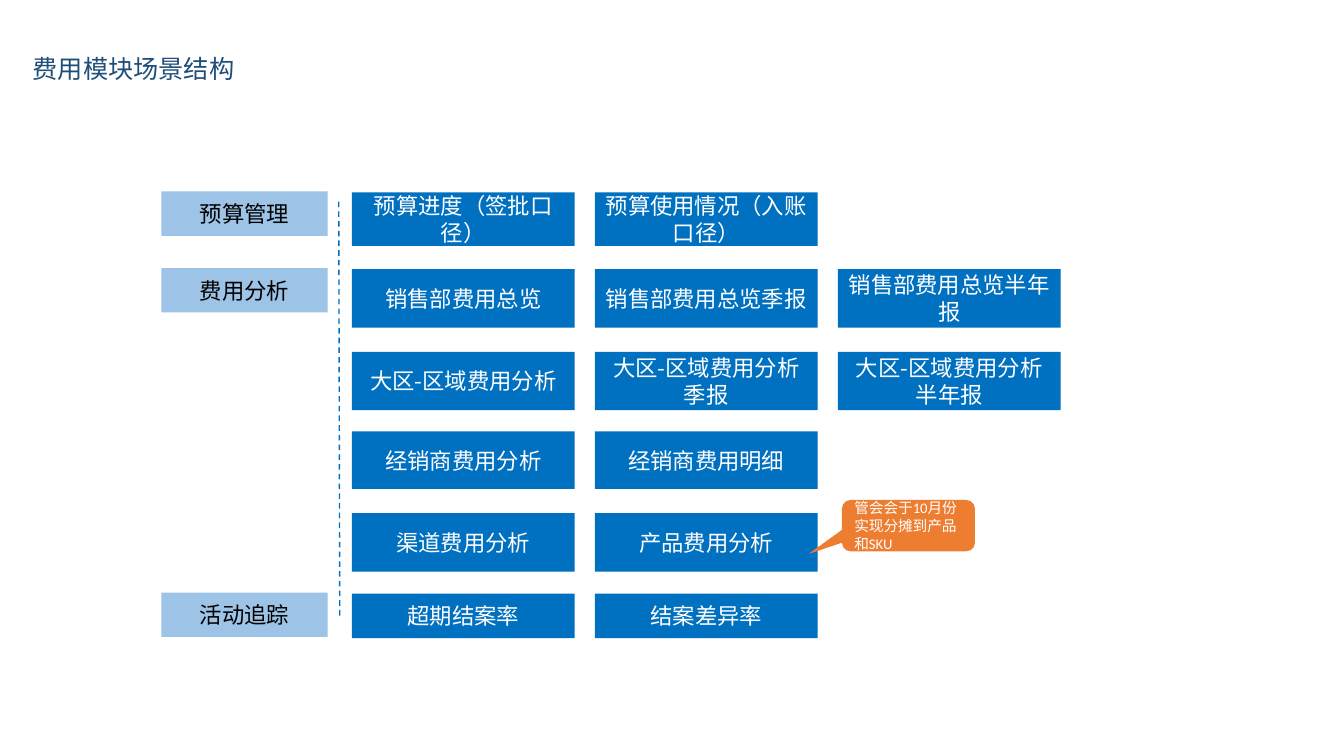
from lxml import etree
from pptx import Presentation
from pptx.dml.color import RGBColor
from pptx.enum.dml import MSO_LINE
from pptx.enum.shapes import MSO_CONNECTOR, MSO_SHAPE
from pptx.enum.text import MSO_ANCHOR, MSO_AUTO_SIZE, PP_ALIGN
from pptx.oxml.ns import qn
from pptx.util import Inches, Pt

RECT = MSO_SHAPE.RECTANGLE
CALLOUT = MSO_SHAPE.ROUNDED_RECTANGULAR_CALLOUT
LEFT, CENTER = PP_ALIGN.LEFT, PP_ALIGN.CENTER
NAVY = RGBColor(0x1F, 0x4E, 0x79)
BLUE = RGBColor(0x00, 0x70, 0xC0)
LIGHT_BLUE = RGBColor(0x9D, 0xC3, 0xE6)
ORANGE = RGBColor(0xED, 0x7D, 0x31)
WHITE = RGBColor(0xFF, 0xFF, 0xFF)
BLACK = RGBColor(0x00, 0x00, 0x00)
CJK_FONT = "Noto Sans CJK SC"

LABEL_LEFT, LABEL_WIDTH, LABEL_HEIGHT = 1.6, 1.65, 0.44
BOX_LEFT, BOX_WIDTH, BOX_PITCH = 3.49, 2.21, 2.41

# top, height, category label, scenes
ROWS = [
    (1.91, 0.53, "预算管理", ["预算进度（签批口径）", "预算使用情况（入账口径）"]),
    (2.67, 0.58, "费用分析", ["销售部费用总览", "销售部费用总览季报", "销售部费用总览半年报"]),
    (3.49, 0.58, None, ["大区-区域费用分析", "大区-区域费用分析季报", "大区-区域费用分析半年报"]),
    (4.28, 0.57, None, ["经销商费用分析", "经销商费用明细"]),
    (5.09, 0.58, None, ["渠道费用分析", "产品费用分析"]),
    (5.89, 0.44, "活动追踪", ["超期结案率", "结案差异率"]),
]


def write_text(shape, text, size, color, align=CENTER, font=CJK_FONT):
    tf = shape.text_frame
    tf.word_wrap = True
    tf.auto_size = MSO_AUTO_SIZE.NONE
    tf.vertical_anchor = MSO_ANCHOR.MIDDLE
    p = tf.paragraphs[0]
    p.alignment = align
    p.line_spacing = 1.0
    r = p.add_run()
    r.text = text
    for name, value in {"size": Pt(size), "name": font}.items():
        setattr(r.font, name, value)
    r.font.color.rgb = color
    ea = etree.SubElement(r.font._element, qn("a:ea"))
    ea.set("typeface", CJK_FONT)


def add_box(kind, left, top, width, height, fill):
    box = s.shapes.add_shape(kind, Inches(left), Inches(top), Inches(width), Inches(height))
    box.shadow.inherit = False
    box.fill.solid()
    box.fill.fore_color.rgb = fill
    box.line.fill.background()
    return box


prs = Presentation()
prs.slide_width, prs.slide_height = Inches(13.33), Inches(7.5)
s = prs.slides.add_slide(prs.slide_layouts[5])

title = s.shapes.title
frame = {"left": 0.12, "top": 0.47, "width": 2.41, "height": 0.42}
for name, value in frame.items():
    setattr(title, name, Inches(value))
write_text(title, "费用模块场景结构", 18, NAVY)

for top, height, label, scenes in ROWS:
    if label:
        box = add_box(RECT, LABEL_LEFT, top - 0.01, LABEL_WIDTH, LABEL_HEIGHT, LIGHT_BLUE)
        write_text(box, label, 16, BLACK)
    for col, scene in enumerate(scenes):
        box = add_box(RECT, BOX_LEFT + col * BOX_PITCH, top, BOX_WIDTH, height, BLUE)
        write_text(box, scene, 16, WHITE)

divider = s.shapes.add_connector(
    MSO_CONNECTOR.STRAIGHT, Inches(3.36), Inches(2), Inches(3.37), Inches(6.12))
divider.line.color.rgb = BLUE
divider.line.width = Pt(1)
divider.line.dash_style = MSO_LINE.DASH
etree.SubElement(divider._element.spPr, qn("a:effectLst"))

note = add_box(CALLOUT, 8.35, 4.96, 1.32, 0.51, ORANGE)
for i, value in enumerate([-0.75, 0.55, 0.17]):
    note.adjustments[i] = value
write_text(note, "管会会于10月份实现分摊到产品和SKU", 10.5, WHITE, LEFT, "Calibri")

prs.save("out.pptx")
